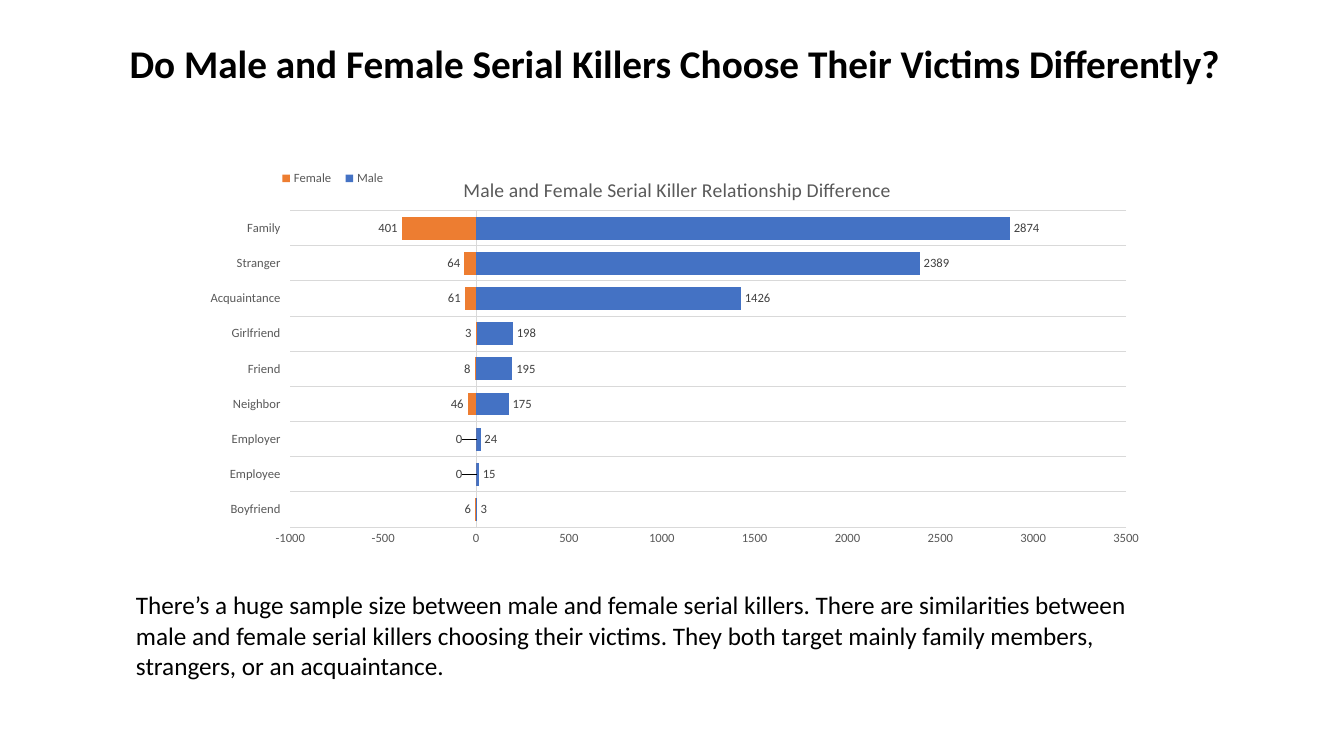
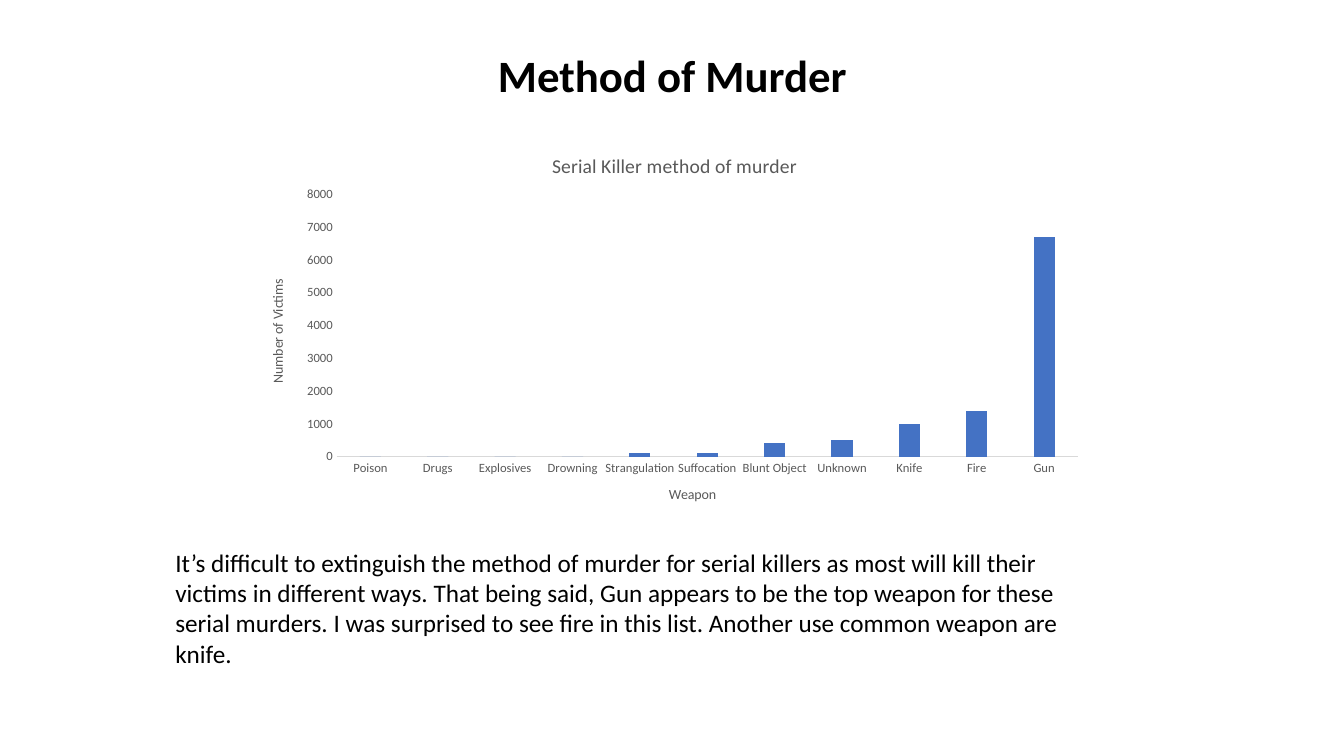
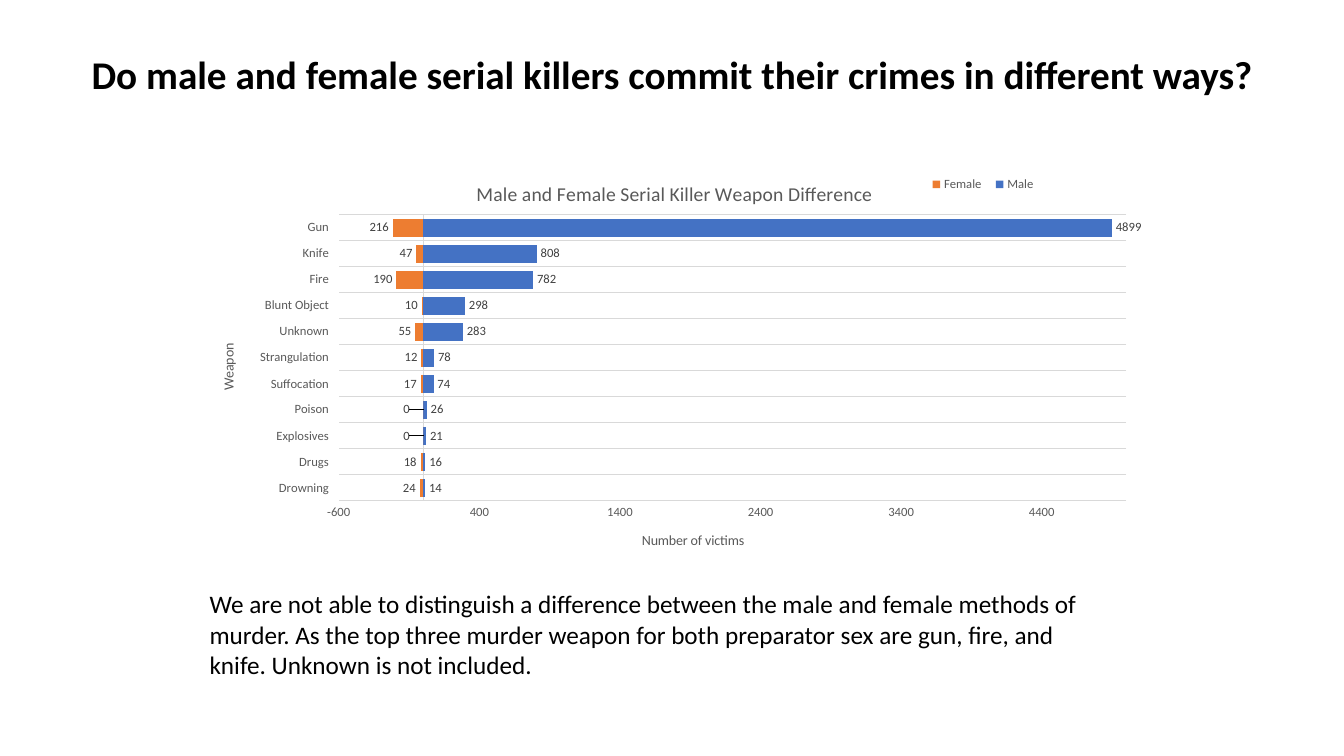
"""Builds three slides of charts about serial killers, their victims and their methods."""
from lxml import etree
from pptx import Presentation, util as u
from pptx.chart.data import CategoryChartData
from pptx.dml.color import RGBColor
from pptx.enum import chart as ch, text as tx
from pptx.oxml.ns import qn

FONT = "Calibri"
BLACK = RGBColor(0x00, 0x00, 0x00)
GREY = RGBColor(0x59, 0x59, 0x59)
DARK = RGBColor(0x40, 0x40, 0x40)
PALE = RGBColor(0xD9, 0xD9, 0xD9)
BLUE = RGBColor(0x44, 0x72, 0xC4)
ORANGE = RGBColor(0xED, 0x7D, 0x31)
BAR, COLUMN = ch.XL_CHART_TYPE.BAR_CLUSTERED, ch.XL_CHART_TYPE.COLUMN_CLUSTERED

SLIDES = [
    dict(
        title="Do Male and Female Serial Killers Choose Their Victims Differently?",
        size=28, head=(0.86, 0.34, 11.66, 0.57),
        note="There’s a huge sample size between male and female serial killers. "
             "There are similarities between male and female serial killers choosing "
             "their victims. They both target mainly family members, strangers, or an "
             "acquaintance.",
        foot=(1.25, 5.8, 10.19, 1.01),
        kind=BAR, box=(1.89, 1.52, 9.61, 4.29), plot=(2.88, 2.09, 8.29, 3.14),
        name="Male and Female Serial Killer Relationship Difference",
        spot=(4.56, 1.71), key=(2.7, 1.66, 1.2, 0.22),
        axes=(None, None), scale=(-1000, 3500, 500), gap=54, lap=100,
        cats=["Boyfriend", "Employee", "Employer", "Neighbor", "Friend",
              "Girlfriend", "Acquaintance", "Stranger", "Family"],
        data=[("Male", BLUE, [3, 15, 24, 175, 195, 198, 1426, 2389, 2874]),
              ("Female", ORANGE, [-6, 0, 0, -46, -8, -3, -61, -64, -401])],
    ),
    dict(
        title="Method of Murder", size=32, head=(2.21, 0.42, 8.92, 0.64),
        note="It’s difficult to extinguish the method of murder for serial killers as "
             "most will kill their victims in different ways. That being said, Gun "
             "appears to be the top weapon for these serial murders. I was surprised to "
             "see fire in this list. Another use common weapon are knife.",
        foot=(1.64, 5.38, 9.48, 1.31),
        kind=COLUMN, box=(2.47, 1.29, 8.4, 3.89), plot=(3.34, 1.93, 7.35, 2.6),
        name="Serial Killer method of murder", spot=(5.44, 1.48), key=None,
        axes=("Weapon", "Number of Victims"), scale=(0, 8000, 1000), gap=219, lap=-27,
        cats=["Poison", "Drugs", "Explosives", "Drowning", "Strangulation",
              "Suffocation", "Blunt Object", "Unknown", "Knife", "Fire", "Gun"],
        data=[("Series 1", BLUE, [0, 0, 0, 0, 100, 100, 400, 500, 1000, 1400, 6700])],
    ),
    dict(
        title="Do male and female serial killers commit their crimes in different ways?",
        size=28, head=(0.63, 0.45, 12.07, 0.57),
        note="We are not able to distinguish a difference between the male and female "
             "methods of murder. As the top three murder weapon for both preparator sex "
             "are gun, fire, and knife. Unknown is not included.",
        foot=(1.98, 5.79, 9.05, 1.01),
        kind=BAR, box=(1.98, 1.55, 9.38, 4.4), plot=(3.36, 2.13, 7.81, 2.84),
        name="Male and Female Serial Killer Weapon Difference",
        spot=(4.69, 1.75), key=(9.15, 1.72, 1.2, 0.22),
        axes=("Weapon", "Number of victims"), scale=(-600, 5000, 1000), gap=45, lap=100,
        cats=["Drowning", "Drugs", "Explosives", "Poison", "Suffocation",
              "Strangulation", "Unknown", "Blunt Object", "Fire", "Knife", "Gun"],
        data=[("Male", BLUE, [14, 16, 21, 26, 74, 78, 283, 298, 782, 808, 4899]),
              ("Female", ORANGE, [-24, -18, 0, 0, -17, -12, -55, -10, -190, -47, -216])],
    ),
]


def style(font, size, color, bold=False):
    font.name, font.size, font.bold = FONT, u.Pt(size), bold
    font.color.rgb = color


def put(frame, words, size=18, color=BLACK, bold=False, align=None):
    para = frame.paragraphs[0]
    para.alignment = align
    run = para.add_run()
    run.text = words
    style(run.font, size, color, bold)


def fit(shape, box):
    shape.left, shape.top, shape.width, shape.height = map(u.Inches, box)
    frame = shape.text_frame
    frame.word_wrap = True
    frame.auto_size = tx.MSO_AUTO_SIZE.NONE
    frame.vertical_anchor = tx.MSO_ANCHOR.TOP
    return frame


def place(part, index, tags):
    for old in part.findall(qn("c:layout")):
        part.remove(old)
    layout = etree.Element(qn("c:layout"))
    manual = etree.SubElement(layout, qn("c:manualLayout"))
    for tag, val in tags:
        etree.SubElement(manual, qn("c:" + tag)).set("val", str(val))
    part.insert(index, layout)


def share(box, area, inner=False):
    left, top, wide, high = box
    tags = [("layoutTarget", "inner")] if inner else []
    tags += [("xMode", "edge"), ("yMode", "edge")]
    parts = zip("xywh", area, (left, top, 0, 0), (wide, high, wide, high))
    return tags + [(tag, round((val - base) / full, 4)) for tag, val, base, full in parts]


def label(series, vals):
    marks = series.data_labels
    marks.show_value = True
    marks.number_format, marks.number_format_is_linked = "0;0", False
    marks.position = ch.XL_LABEL_POSITION.OUTSIDE_END
    style(marks.font, 9, DARK)
    for i, val in enumerate(vals):
        if val == 0:
            mark = series.points[i].data_label
            style(mark.font, 9, DARK)
            mark.position = ch.XL_LABEL_POSITION.OUTSIDE_END
            place(mark._get_or_add_dLbl(), 1, [("x", -0.025), ("y", 0)])


def draw(slide, item):
    data = CategoryChartData()
    data.categories = item["cats"]
    for name, _, vals in item["data"]:
        data.add_series(name, vals)
    box = item["box"]
    chart = slide.shapes.add_chart(item["kind"], *map(u.Inches, box), data).chart
    style(chart.font, 10, BLACK)
    chart.has_title = True
    put(chart.chart_title.text_frame, item["name"], size=14, color=GREY)
    place(chart.chart_title._element, 1, share(box, item["spot"]))
    place(chart._chartSpace.chart.plotArea, 0, share(box, item["plot"], inner=True))

    cat, val = chart.category_axis, chart.value_axis
    for axis, name in zip((cat, val), item["axes"]):
        axis.major_tick_mark = axis.minor_tick_mark = ch.XL_TICK_MARK.NONE
        axis.has_major_gridlines = False
        style(axis.tick_labels.font, 9, GREY)
        if name:
            put(axis.axis_title.text_frame, name, size=10, color=GREY)
    val.minimum_scale, val.maximum_scale, val.major_unit = item["scale"]
    val.format.line.fill.background()
    lines = [cat.format.line]
    if item["key"]:
        cat.tick_label_position = ch.XL_TICK_LABEL_POSITION.LOW
        lines.append(cat.major_gridlines.format.line)
    for line in lines:
        line.color.rgb, line.width = PALE, u.Pt(0.75)

    plot = chart.plots[0]
    plot.vary_by_categories = False
    plot.gap_width, plot.overlap = item["gap"], item["lap"]
    for series, (_, color, vals) in zip(plot.series, item["data"]):
        series.invert_if_negative = False
        series.format.fill.solid()
        series.format.fill.fore_color.rgb = color
        if item["key"]:
            label(series, vals)

    chart.has_legend = bool(item["key"])
    if item["key"]:
        legend = chart.legend
        legend.position = ch.XL_LEGEND_POSITION.BOTTOM
        legend.include_in_layout = False
        style(legend.font, 9, GREY)
        place(legend._element, 1, share(box, item["key"]))


def main():
    deck = Presentation()
    deck.slide_width, deck.slide_height = u.Inches(13.33), u.Inches(7.5)
    for item in SLIDES:
        slide = deck.slides.add_slide(deck.slide_layouts[5])
        put(fit(slide.shapes.title, item["head"]), item["title"], size=item["size"],
            bold=True, align=tx.PP_ALIGN.CENTER)
        draw(slide, item)
        note = slide.shapes.add_textbox(*map(u.Inches, item["foot"]))
        put(fit(note, item["foot"]), item["note"])
    deck.save("out.pptx")


if __name__ == "__main__":
    main()
